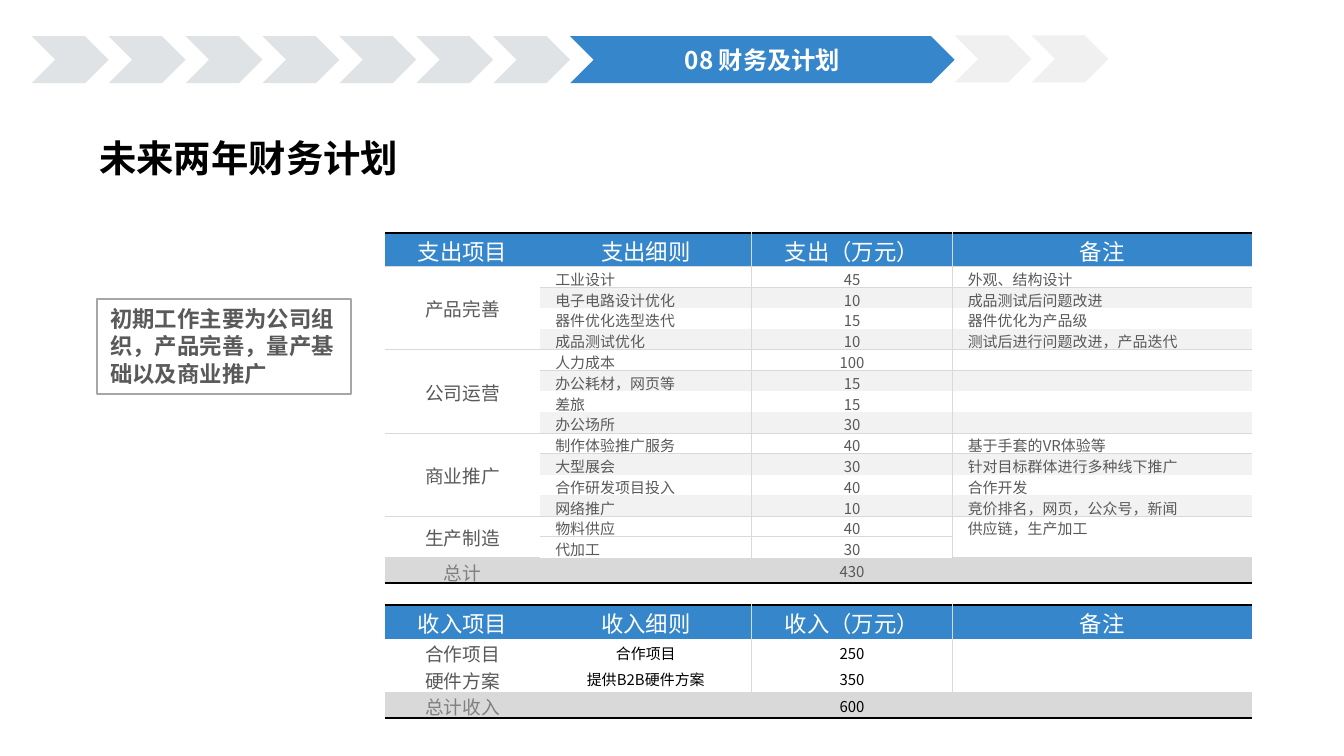
from lxml.etree import SubElement
from pptx import Presentation
from pptx.dml.color import RGBColor
from pptx.enum.shapes import MSO_SHAPE as Shape
from pptx.enum.text import MSO_ANCHOR as Anchor, PP_ALIGN as Align
from pptx.oxml.ns import qn
from pptx.util import Pt

BLUE, GREY, LINE, STRIPE = "3586CB", "595959", "D9D9D9", "F2F2F2"
BLACK, WHITE = "000000", "FFFFFF"
NO_STYLE = "{2D5ABB26-0587-4C30-8999-92F81FD0307C}"


def color(value):
    return RGBColor.from_string(value)


def set_values(target, values):
    for name, value in values.items():
        setattr(target, name, value)


class SlideBuilder:
    font_name = "Noto Sans CJK SC"
    insets = {"margin_left": Pt(0.72), "margin_right": Pt(0.72),
              "margin_top": Pt(0.72), "margin_bottom": 0}
    columns = [83.5, 113, 108, 160]

    def __init__(self, presentation):
        self.slide = presentation.slides.add_slide(presentation.slide_layouts[6])

    def add_text(self, frame, text, size, ink, bold=False, align=Align.LEFT, spacing=None):
        paragraph = frame.paragraphs[0]
        set_values(paragraph, {"alignment": align, "line_spacing": spacing})
        if not text:
            paragraph._p.get_or_add_endParaRPr().set("sz", str(size * 100))
            return
        run = paragraph.add_run()
        run.text = text
        set_values(run.font, {"size": Pt(size), "bold": bold, "name": self.font_name})
        run.font.color.rgb = color(ink)
        SubElement(run._r.get_or_add_rPr(), qn("a:ea"), typeface=self.font_name)

    def title(self, box, text):
        frame = self.slide.shapes.add_textbox(*map(Pt, box)).text_frame
        frame.word_wrap = True
        self.add_text(frame, text, 20, BLACK, bold=True)

    def note(self, box, text):
        shape = self.slide.shapes.add_shape(Shape.RECTANGLE, *map(Pt, box))
        shape.shadow.inherit = False
        shape.fill.background()
        shape.line.color.rgb = color("A6A6A6")
        shape.line.width = Pt(1)
        set_values(shape.text_frame, {"word_wrap": True, "vertical_anchor": Anchor.TOP})
        self.add_text(shape.text_frame, text, 12, GREY, bold=True, spacing=Pt(14.5))

    def chevron(self, group, box, fill, text=""):
        shape = group.shapes.add_shape(Shape.CHEVRON, *map(Pt, box))
        shape.shadow.inherit = False
        shape.fill.solid()
        shape.fill.fore_color.rgb = color(fill)
        shape.line.fill.background()
        if text:
            shape.text_frame.vertical_anchor = Anchor.MIDDLE
            self.add_text(shape.text_frame, text, 13, WHITE, bold=True, align=Align.CENTER)

    def border(self, cell, side, ink, width):
        line = SubElement(cell._tc.get_or_add_tcPr(), qn(f"a:ln{side}"), w=str(Pt(width)))
        fill = SubElement(line, qn("a:solidFill"))
        SubElement(fill, qn("a:srgbClr"), val=ink)

    def cell_style(self, cell, row, column, last, starts, fill):
        thin, thick = (LINE, 0.5), (BLACK, 1.5)
        sides = {
            "L": thin if column > 1 else None,
            "R": thin if column in (1, 2) else None,
            "T": thick if row == 0 else thin if row in starts else None,
            "B": thick if row == last else thin if row + 1 in starts else None,
        }
        for side, line in sides.items():
            if line:
                self.border(cell, side, *line)
        if fill:
            cell.fill.solid()
            cell.fill.fore_color.rgb = color(fill)
        else:
            cell.fill.background()
        set_values(cell, {**self.insets, "vertical_anchor": Anchor.MIDDLE})

    def table(self, left, top, heights, headers, groups, total, detail_ink,
              detail_align, ruled):
        """Header row, groups of (name, detail rows), and a total row."""
        rows, starts = [headers], []
        for name, details in groups:
            starts.append(len(rows))
            rows += [(name if not index else "", *detail)
                     for index, detail in enumerate(details)]
        rows.append((total[0], "", total[1], ""))
        last = len(rows) - 1
        frame = self.slide.shapes.add_table(len(rows), 4, Pt(left), Pt(top),
                                            Pt(sum(self.columns)), Pt(sum(heights)))
        table = frame.table
        table._tbl.tblPr.find(qn("a:tableStyleId")).text = NO_STYLE
        set_values(table, {"first_row": False, "horz_banding": False})
        for column, width in zip(table.columns, self.columns):
            column.width = Pt(width)
        for row, height in zip(table.rows, heights):
            row.height = Pt(height)

        for row, values in enumerate(rows):
            for column, text in enumerate(values):
                cell = table.cell(row, column)
                striped = ruled and column and row % 2 == 0 and row <= 12
                fill = (BLUE if row == 0 else LINE if row == last
                        else STRIPE if striped else None)
                self.cell_style(cell, row, column, last, starts if ruled else [], fill)
                size, ink, align = 8, detail_ink, Align.CENTER
                if row == 0:
                    size, ink = 12, WHITE
                elif column == 0:
                    size, ink = 10, "808080" if row == last else GREY
                elif column != 2 and row != last:
                    align = detail_align
                    if align == Align.LEFT:
                        cell.margin_left = Pt(8)
                self.add_text(cell.text_frame, text, size, ink, align=align)

        for start, (name, details) in zip(starts, groups):
            if len(details) > 1:
                table.cell(start, 0).merge(table.cell(start + len(details) - 1, 0))
        return table


presentation = Presentation()
set_values(presentation, {"slide_width": Pt(720), "slide_height": Pt(405)})
builder = SlideBuilder(presentation)

# Title and note
builder.title((46, 69, 178.6, 31.7), "未来两年财务计划")
builder.note((52, 160, 136, 51), "初期工作主要为公司组织，产品完善，量产基础以及商业推广")

# Spending table
spending = [
    ("产品完善", [("工业设计", "45", "外观、结构设计"),
              ("电子电路设计优化", "10", "成品测试后问题改进"),
              ("器件优化选型迭代", "15", "器件优化为产品级"),
              ("成品测试优化", "10", "测试后进行问题改进，产品迭代")]),
    ("公司运营", [("人力成本", "100", ""),
              ("办公耗材，网页等", "15", ""),
              ("差旅", "15", ""),
              ("办公场所", "30", "")]),
    ("商业推广", [("制作体验推广服务", "40", "基于手套的VR体验等"),
              ("大型展会", "30", "针对目标群体进行多种线下推广"),
              ("合作研发项目投入", "40", "合作开发"),
              ("网络推广", "10", "竞价排名，网页，公众号，新闻")]),
    ("生产制造", [("物料供应", "40", "供应链，生产加工"),
              ("代加工", "30", "")]),
]
table = builder.table(206, 124.8, [18] + [11.15] * 14 + [13.7],
                      ("支出项目", "支出细则", "支出（万元）", "备注"), spending,
                      ("总计", "430"), GREY, Align.LEFT, ruled=True)
supply_remark = table.cell(13, 3)
supply_remark.merge(table.cell(14, 3))
supply_remark.vertical_anchor = Anchor.TOP

# Income table
income = [("合作项目", [("合作项目", "250", "")]),
          ("硬件方案", [("提供B2B硬件方案", "350", "")])]
builder.table(206, 324.2, [18] + [14.2] * 3,
              ("收入项目", "收入细则", "收入（万元）", "备注"), income,
              ("总计收入", "600"), BLACK, Align.CENTER, ruled=False)

# Chapter progress bar
step, height = 41.2, 25.2
progress = builder.slide.shapes.add_group_shape()
builder.chevron(progress, (305.4, 19.4, 206, height), BLUE, "08 财务及计划")
for index in range(7):
    builder.chevron(progress, (17 + index * step, 19.4, step, height), "DFE3E5")
for index in range(2):
    builder.chevron(progress, (511.4 + index * step, 19, step, height), "F0F0F0")

presentation.save("out.pptx")
